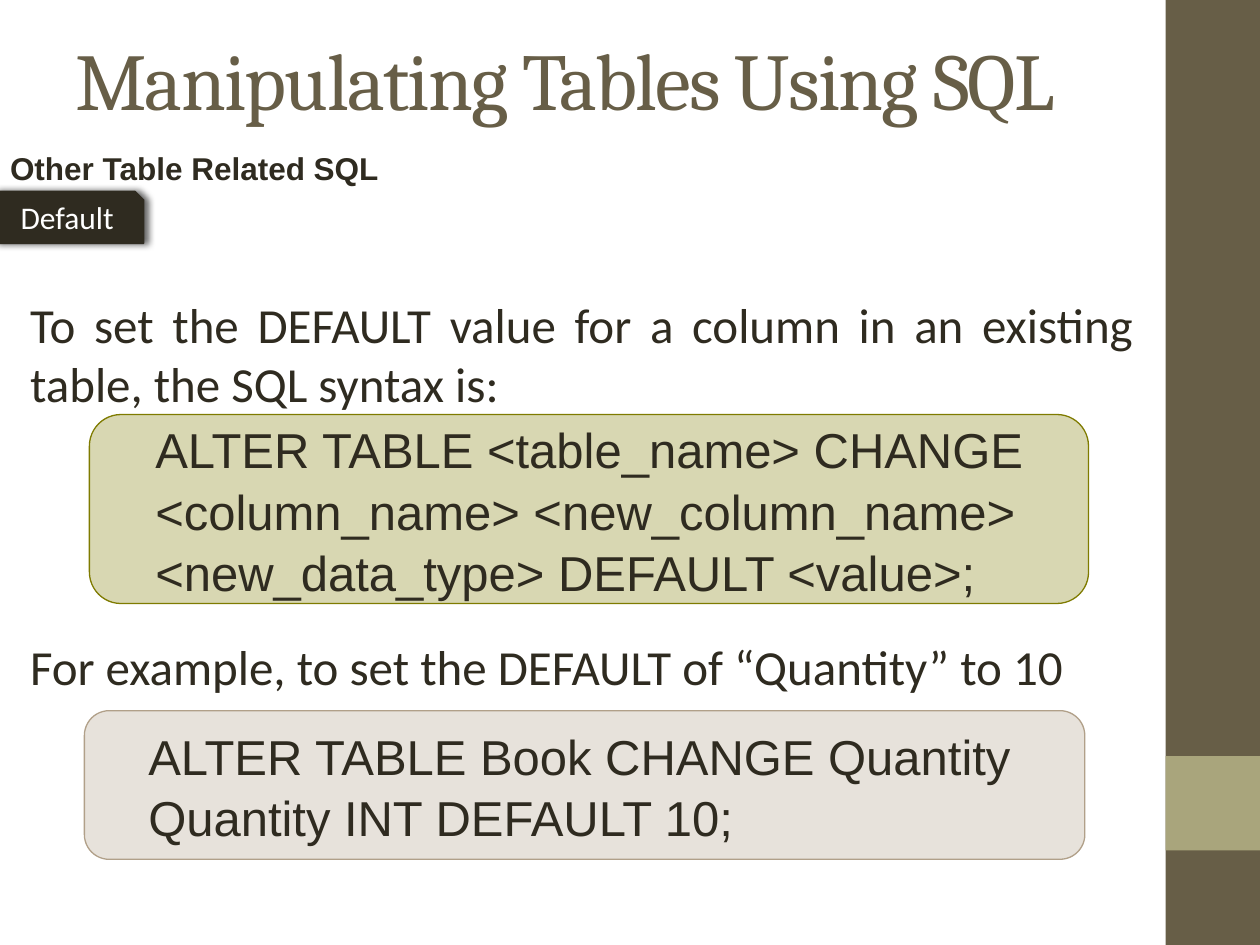
from dataclasses import dataclass

import lxml.etree
import pptx
import pptx.dml.color
import pptx.enum.shapes
import pptx.enum.text
import pptx.oxml
import pptx.oxml.ns
import pptx.util

Inches = pptx.util.Inches
Pt = pptx.util.Pt
Shape = pptx.enum.shapes.MSO_SHAPE
Align = pptx.enum.text.PP_ALIGN
Anchor = pptx.enum.text.MSO_ANCHOR
qn = pptx.oxml.ns.qn


@dataclass(frozen=True)
class Theme:
    band: str = "675E47"
    accent: str = "A9A57C"
    ink: str = "2F2B20"
    white: str = "FFFFFF"
    syntax: str = "7F7B00"
    example: str = "B1A089"
    heading_font: str = "Cambria"
    body_font: str = "Calibri"
    code_font: str = "Arial"
    title_size: int = 46
    body_size: int = 28
    label_size: int = 18


THEME = Theme()


def rgb(value):
    return pptx.dml.color.RGBColor.from_string(value)


def style_paragraph(para, font, size, color, bold=False, align=Align.LEFT):
    para.alignment = align
    for span in para.runs:
        span.font.name = font
        span.font.size = Pt(size)
        span.font.bold = bold
        span.font.color.rgb = rgb(color)


def add_shape(page, kind, area, fill, line=None, line_width=0.75):
    shape = page.shapes.add_shape(kind, *map(Inches, area))
    shape.shadow.inherit = False
    shape.fill.solid()
    shape.fill.fore_color.rgb = rgb(fill)
    if line:
        shape.line.color.rgb = rgb(line)
        shape.line.width = Pt(line_width)
    else:
        shape.line.fill.background()
    return shape


def add_text(page, area, text):
    box = page.shapes.add_textbox(*map(Inches, area))
    box.text_frame.word_wrap = True
    box.text_frame.text = text
    return box.text_frame


def add_side_band(page):
    add_shape(page, Shape.RECTANGLE, (9.25, 0, 0.75, 7.5), THEME.band)
    add_shape(page, Shape.RECTANGLE, (9.25, 6, 0.75, 0.75), THEME.accent)


def add_title(page, text):
    frame = add_text(page, (0.5, 0, 8.33, 1.25), text)
    frame.vertical_anchor = Anchor.MIDDLE
    para = frame.paragraphs[0]
    style_paragraph(para, THEME.heading_font, THEME.title_size, THEME.band)
    para.runs[0].font._element.set("spc", "-100")


def add_subtitle(page, text):
    frame = add_text(page, (0, 1.23, 8.94, 0.35), text)
    frame.margin_left = frame.margin_right = Inches(0.08)
    frame.margin_top = frame.margin_bottom = 0
    para = frame.paragraphs[0]
    para.line_spacing = Pt(18)
    style_paragraph(para, THEME.code_font, THEME.label_size, THEME.ink, bold=True)


def add_explanation(page, area, texts, gap):
    """Justified paragraphs, with a gap that leaves room for a code panel."""
    frame = add_text(page, area, "\n".join(texts))
    for index, para in enumerate(frame.paragraphs):
        if index:
            para.space_before = Pt(gap)
        style_paragraph(para, THEME.body_font, THEME.body_size, THEME.ink,
                        align=Align.JUSTIFY)


def add_code_panel(page, area, color, text):
    panel = add_shape(page, Shape.ROUNDED_RECTANGLE, area, color, color)
    panel.adjustments[0] = 0.167
    tint = panel.fill._xPr.find(qn("a:solidFill"))[0]
    lxml.etree.SubElement(tint, qn("a:alpha"), val="30000")
    frame = panel.text_frame
    frame.word_wrap = True
    frame.vertical_anchor = Anchor.MIDDLE
    frame.margin_left = Inches(0.45)
    frame.text = text
    para = frame.paragraphs[0]
    para.line_spacing = 1.05
    style_paragraph(para, THEME.code_font, THEME.body_size, THEME.ink)


def add_tag(page, text):
    tag = add_shape(page, Shape.SNIP_1_RECTANGLE, (-0.04, 1.52, 1.18, 0.41),
                    THEME.ink, THEME.ink, 1)
    effects = tag._element.spPr.find(qn("a:effectLst"))
    shadow = lxml.etree.SubElement(effects, qn("a:outerShdw"), blurRad=str(Pt(4)),
                                   dist=str(Pt(2)), dir="0", rotWithShape="0")
    color = lxml.etree.SubElement(shadow, qn("a:srgbClr"), val="000000")
    lxml.etree.SubElement(color, qn("a:alpha"), val="60000")
    frame = tag.text_frame
    frame.vertical_anchor = Anchor.MIDDLE
    frame.text = text
    para = frame.paragraphs[0]
    para.line_spacing = 0.9
    style_paragraph(para, THEME.body_font, THEME.label_size, THEME.white,
                    align=Align.CENTER)


def main():
    deck = pptx.Presentation()
    deck.slide_width = Inches(10)
    deck.slide_height = Inches(7.5)
    page = deck.slides.add_slide(deck.slide_layouts[6])
    add_side_band(page)
    add_title(page, "Manipulating Tables Using SQL")
    add_subtitle(page, "Other Table Related SQL")
    add_explanation(page, (0.14, 2.29, 8.95, 1.18), [
        "To set the DEFAULT value for a column in an existing table, "
        "the SQL syntax is:",
        "For example, to set the DEFAULT of “Quantity” to 10",
    ], gap=128)
    add_code_panel(page, (0.71, 3.29, 7.93, 1.5), THEME.syntax,
                   "ALTER TABLE <table_name> CHANGE <column_name> "
                   "<new_column_name> <new_data_type> DEFAULT <value>;")
    add_code_panel(page, (0.67, 5.64, 7.94, 1.18), THEME.example,
                   "ALTER TABLE Book CHANGE Quantity Quantity INT DEFAULT 10;")
    add_tag(page, "Default")
    deck.save("out.pptx")


if __name__ == "__main__":
    main()
